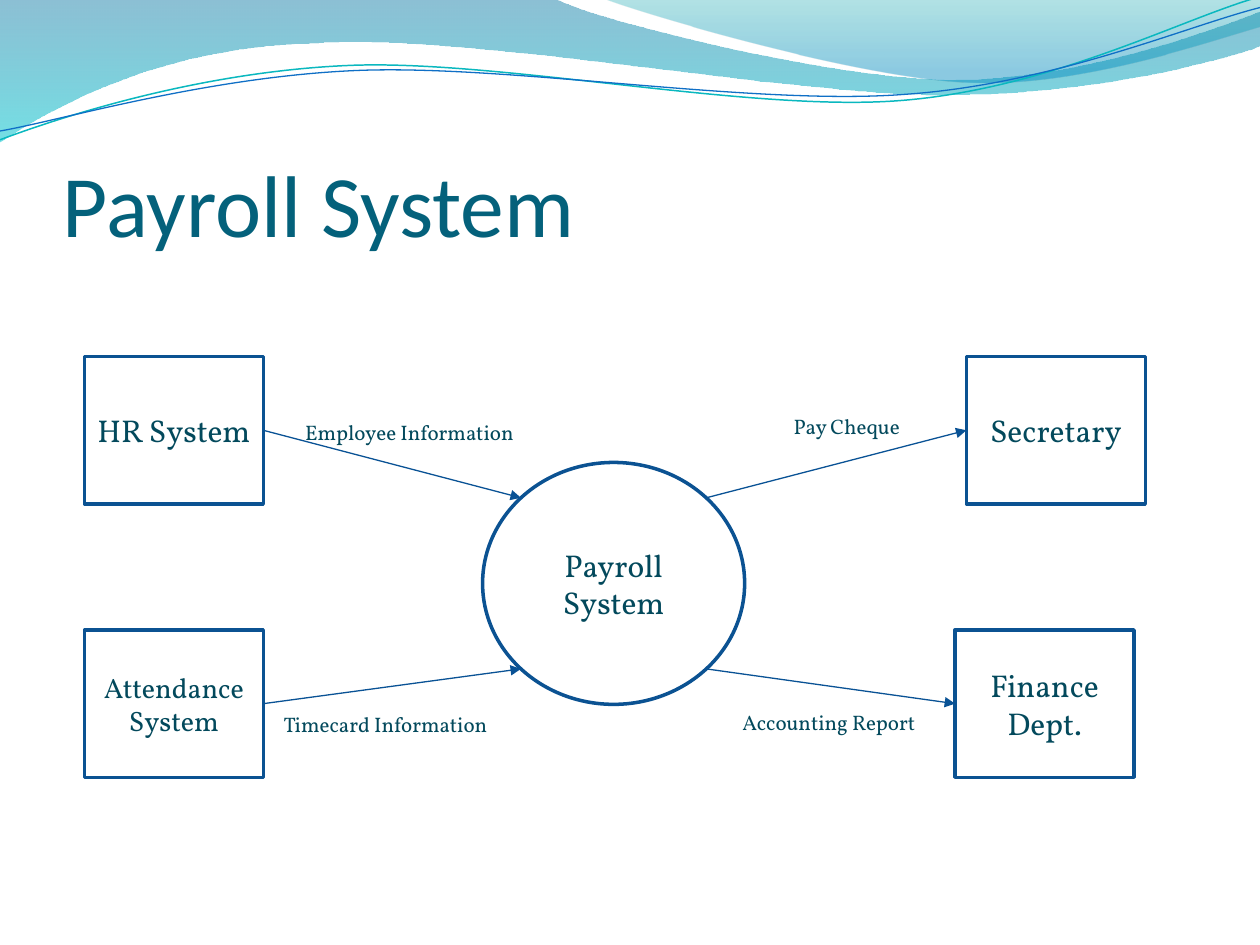
from math import sqrt

from lxml.etree import SubElement
from pptx import Presentation
from pptx.dml.color import RGBColor
from pptx.enum.shapes import MSO_CONNECTOR as Link, MSO_SHAPE as Kind
from pptx.enum.text import MSO_ANCHOR as Anchor, PP_ALIGN as Align
from pptx.oxml.ns import qn
from pptx.util import Inches, Pt

# Content
TITLE = "Payroll System"
HUB = ("Payroll System", 3.83, 3.67, 2.08, 1.92)
# text, left, top, size, side of the hub (x, y)
BOXES = [
    ("HR System", 0.67, 2.83, 18, -1, -1),
    ("Attendance System", 0.67, 5, 16, -1, 1),
    ("Secretary", 7.67, 2.83, 18, 1, -1),
    ("Finance Dept.", 7.58, 5, 18, 1, 1),
]
BOX_W, BOX_H = 1.42, 1.17
LABELS = [
    ("Employee Information", 2.25, 3.28),
    ("Accounting Report", 5.58, 5.58),
    ("Timecard Information", 2.06, 5.6),
    ("Pay Cheque", 5.72, 3.23),
]
BODY, INK, EDGE, ARROW = "Vollkorn", "03495C", "0B5292", "095295"

# Waves: each step is one point (straight) or three points (Bezier curve)
BANDS = [
    ([[(0, 0)], [(4.4, -0.01)],
      [(4.76, 0.17), (6.64, 0.63), (7.58, 0.63)],
      [(8.53, 0.63), (9.58, 0.26), (10, 0.09)],
      [(10.01, 0.36)],
      [(9.83, 0.44), (8.7, 0.76), (7.46, 0.75)],
      [(6.22, 0.75), (3.82, 0.28), (2.57, 0.34)],
      [(1.29, 0.36), (0.46, 0.83), (-0.01, 1.13)],
      [(0, 0)]],
     [(0, "0074A1", 45), (1, "00C6CF", 55)]),
    ([[(4.79, -0.01)],
      [(5.09, 0.11), (6.82, 0.62), (7.69, 0.65)],
      [(8.56, 0.69), (9.61, 0.32), (10, 0.21)],
      [(10, 0)], [(4.79, -0.01)]],
     [(0, "00A1A9", 30), (0.8, "008BBF", 45)]),
]
STRANDS = [
    ([[(0, 1.11)],
      [(0.48, 0.93), (1.58, 0.57), (2.77, 0.52)],
      [(3.95, 0.47), (5.93, 0.89), (7.13, 0.8)],
      [(8.33, 0.71), (9.38, 0.15), (9.98, -0.02)]], "0AB8BF", 0.85),
    ([[(0, 1.04)],
      [(0.47, 0.96), (1.64, 0.61), (2.83, 0.56)],
      [(4.03, 0.51), (5.97, 0.84), (7.17, 0.75)],
      [(8.36, 0.67), (9.41, 0.21), (10, 0.06)]], "0F6FC6", 0.75),
]

prs = Presentation()
prs.slide_width, prs.slide_height = Inches(10), Inches(7.5)
slide = prs.slides.add_slide(prs.slide_layouts[6])
shapes = slide.shapes


def color(code):
    return RGBColor.from_string(code)


def stroke(item, code, width):
    item.line.color.rgb = color(code)
    item.line.width = Pt(width)


def write(shape, text, size, font=BODY, code=INK, align=Align.CENTER,
          anchor=Anchor.MIDDLE):
    frame = shape.text_frame
    frame.text = text
    frame.word_wrap = True
    frame.vertical_anchor = anchor
    para = frame.paragraphs[0]
    para.alignment = align
    style = para.runs[0].font
    style.name, style.size = font, Pt(size)
    style.color.rgb = color(code)
    return frame


def wave(steps, close):
    """Lay out all points as lines, then merge each triple into a curve."""
    pts = [(Inches(x), Inches(y)) for step in steps for x, y in step]
    build = shapes.build_freeform(*pts[0], scale=1.0)
    build.add_line_segments(pts[1:], close=close)
    shape = build.convert_to_shape()
    shape.shadow.inherit = False
    lines = iter(list(shape.element.spPr.iter(qn("a:lnTo"))))
    for step in steps[1:]:
        parts = [next(lines) for _ in step]
        if len(parts) == 3:
            curve = SubElement(parts[0].getparent(), qn("a:cubicBezTo"))
            parts[0].addprevious(curve)
            for part in parts:
                curve.append(part[0])
                part.getparent().remove(part)
    return shape


def block(kind, text, size, *place):
    shape = shapes.add_shape(kind, *map(Inches, place))
    shape.shadow.inherit = False
    shape.fill.background()
    stroke(shape, EDGE, 2)
    write(shape, text, size)
    return shape


# Wave header
for steps, stops in BANDS:
    band = wave(steps, True)
    band.line.fill.background()
    band.fill.gradient()
    band.fill.gradient_angle = 270
    for stop, (pos, code, _) in zip(band.fill.gradient_stops, stops):
        stop.position = pos
        stop.color.rgb = color(code)
    tints = band.element.spPr.iter(qn("a:srgbClr"))
    for tint, (_, _, alpha) in zip(tints, stops):
        SubElement(tint, qn("a:alpha")).set("val", str(alpha * 1000))
for steps, code, width in STRANDS:
    strand = wave(steps, False)
    strand.fill.background()
    stroke(strand, code, width)

# Title
box = shapes.add_textbox(*map(Inches, (0.5, 0.77, 9, 1.25)))
frame = write(box, TITLE, 50, "Calibri", "04617B", Align.LEFT, Anchor.BOTTOM)
frame.margin_left = frame.margin_right = frame.margin_bottom = 0

# Boxes and hub
nodes = [block(Kind.RECTANGLE, text, size, x, y, BOX_W, BOX_H)
         for text, x, y, size, _, _ in BOXES]
name, left, top, wide, high = HUB
block(Kind.OVAL, name, 18, left, top, wide, high)

# Arrows: left boxes feed the hub, the hub feeds the right boxes
for node, (*_, dx, dy) in zip(nodes, BOXES):
    rim = (Inches(left + wide / 2 * (1 + dx / sqrt(2))),
           Inches(top + high / 2 * (1 + dy / sqrt(2))))
    arrow = shapes.add_connector(Link.STRAIGHT, *rim, *rim)
    if dx < 0:
        arrow.begin_connect(node, 3)
    else:
        arrow.end_connect(node, 1)
    stroke(arrow, ARROW, 0.75)
    SubElement(arrow.line._get_or_add_ln(), qn("a:tailEnd")).set("type", "triangle")
    SubElement(arrow._element.spPr, qn("a:effectLst"))

# Flow labels
for text, x, y in LABELS:
    label = shapes.add_textbox(*map(Inches, (x, y, 2, 0.3)))
    write(label, text, 12, anchor=Anchor.TOP)

prs.save("out.pptx")
